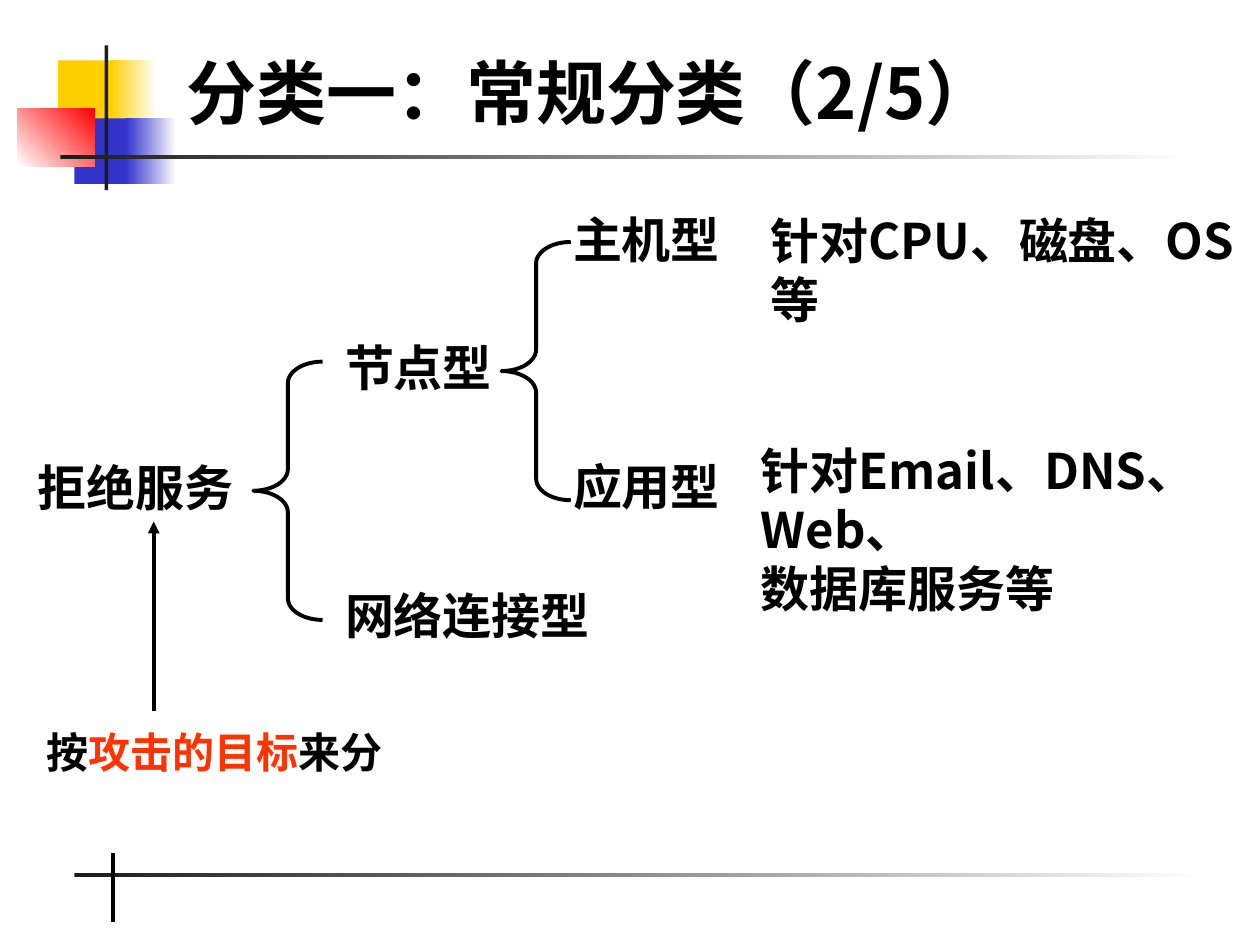
import pptx
import pptx.dml.color
import pptx.enum.dml
import pptx.enum.shapes
import pptx.enum.text
import pptx.oxml
import pptx.oxml.ns
import pptx.util

COLUMNS, ROWS = 100, 75
CELL = pptx.util.Inches(0.1)
TYPEFACE = "Noto Sans CJK SC"
BLACK, INK, WHITE = "000000", "1C1C1C", "FFFFFF"
YELLOW, BLUE, RED, ACCENT = "FFCF01", "3333CC", "FF0000", "FF3300"
LABEL_FRAME = {
    "word_wrap": False,
    "auto_size": pptx.enum.text.MSO_AUTO_SIZE.SHAPE_TO_FIT_TEXT,
}
NOTE_FRAME = {**LABEL_FRAME, "word_wrap": True}
TITLE_FRAME = {
    "word_wrap": True,
    "auto_size": pptx.enum.text.MSO_AUTO_SIZE.NONE,
    "vertical_anchor": pptx.enum.text.MSO_ANCHOR.MIDDLE,
}


def apply(target, values):
    """Set every attribute named in a dict of format values."""
    for name, value in values.items():
        setattr(target, name, value)


def cells(*counts):
    """Turn counts of grid cells into lengths."""
    return [round(count * CELL) for count in counts]


def inside(box, left, top, *size):
    """Shift a place so that it is measured from the corner of a box."""
    return (box[0] + left, box[1] + top, *size)


def hex_color(code):
    """Give the colour for a hex string."""
    return pptx.dml.color.RGBColor.from_string(code)


def write(frame, paragraphs, size, values):
    """Write paragraphs of (text, colour) runs into a text frame."""
    apply(frame, values)
    for index, runs in enumerate(paragraphs):
        paragraph = frame.add_paragraph() if index else frame.paragraphs[0]
        paragraph.alignment = pptx.enum.text.PP_ALIGN.LEFT
        for text, color in runs:
            run = paragraph.add_run()
            run.text = text
            apply(run.font, {"name": TYPEFACE, "size": pptx.util.Pt(size), "bold": True})
            run.font.color.rgb = hex_color(color)
            east_asian = pptx.oxml.ns.qn("a:ea")
            run.font._element.makeelement(east_asian)
            run.font._element.find(pptx.oxml.ns.qn("a:latin")).addnext(
                run.font._element.makeelement(east_asian, {"typeface": TYPEFACE})
            )


def add_label(slide, place, *lines, size=28, values=LABEL_FRAME):
    """Add a text box with one black paragraph for each line."""
    label = slide.shapes.add_textbox(*cells(*place))
    write(label.text_frame, [[(line, BLACK)] for line in lines], size, values)


def add_block(slide, place, start, end=None, angle=0):
    """Add a borderless rectangle, plain or fading between two colours."""
    block = slide.shapes.add_shape(pptx.enum.shapes.MSO_SHAPE.RECTANGLE, *cells(*place))
    block.shadow.inherit = False
    block.line.fill.background()
    if end is None:
        block.fill.solid()
        block.fill.fore_color.rgb = hex_color(start)
        return
    block.fill.gradient()
    block.fill.gradient_angle = angle
    for stop, color in zip(block.fill.gradient_stops, (start, end)):
        stop.color.rgb = hex_color(color)


def add_line(slide, start, end, arrow=False):
    """Add a straight black line, with an arrowhead at its end if asked."""
    line = slide.shapes.add_connector(
        pptx.enum.shapes.MSO_CONNECTOR.STRAIGHT, *cells(*start, *end)
    )
    line.line.width = pptx.util.Pt(2.25)
    line.line.color.rgb = hex_color(BLACK)
    properties = line._element.spPr
    properties.append(properties.makeelement(pptx.oxml.ns.qn("a:effectLst")))
    if arrow:
        outline = line.line._get_or_add_ln()
        outline.append(
            outline.makeelement(pptx.oxml.ns.qn("a:tailEnd"), {"type": "triangle"})
        )


def add_header(slide, box, heading):
    """Place the coloured blocks, the crossed rules and the title."""
    blocks = [
        ((3.2, 1.2, 4.8, 5.2), YELLOW),
        ((7.4, 1.2, 3.6, 5.2), YELLOW, WHITE),
        ((4.5, 5.8, 4.6, 5.2), BLUE),
        ((8.6, 5.8, 4, 5.2), BLUE, WHITE),
        ((0, 5, 6.1, 4.6), WHITE, RED, 45),
        ((6.9, 0, 0.3, 11.5), INK),
        ((3.4, 8.7, 90, 0.3), INK, WHITE),
    ]
    for place, *colors in blocks:
        add_block(slide, inside(box, *place), *colors)
    title = slide.shapes.title
    place = cells(*inside(box, 12.4, -0.7, 72.5, 8.7))
    apply(title, dict(zip(("left", "top", "width", "height"), place)))
    write(title.text_frame, [[(heading, BLACK)]], 40, TITLE_FRAME)


def add_footer(slide, box):
    """Place the crossed rules at the foot of the slide."""
    add_block(slide, inside(box, 0, 1.6, 90, 0.3), INK, WHITE)
    add_line(slide, inside(box, 3.1, 0), inside(box, 3.1, 5.5))


def add_branch(slide, box, indent, rise, children):
    """Place a brace that fills the box and the labels at its two tips."""
    brace = slide.shapes.add_shape(pptx.enum.shapes.MSO_SHAPE.LEFT_BRACE, *cells(*box))
    brace.shadow.inherit = False
    brace.fill.background()
    brace.line.width = pptx.util.Pt(2.25)
    brace.line.color.rgb = hex_color(BLACK)
    brace.adjustments[0] = 0.31
    for index, (text, width) in enumerate(children):
        place = inside(box, indent, index * 19.65 - rise, width, 5.7)
        add_label(slide, place, text)


def add_tree(slide, box):
    """Place the tree of attack types with the notes on its leaves."""
    add_label(slide, inside(box, 0, 19.7, 17.6, 5.7), "拒绝服务")
    add_branch(slide, inside(box, 18.1, 12.6, 5.5, 20.5), 6.3, 2.4,
               [("节点型", 13.7), ("网络连接型", 21.5)])
    add_branch(slide, inside(box, 37.8, 3.1, 5.5, 20.5), 4.7, 3.1,
               [("主机型", 13.7), ("应用型", 13.7)])
    add_label(slide, inside(box, 58.2, 0.1, 39.8, 5.7), "针对CPU、磁盘、OS等",
              values=NOTE_FRAME)
    add_label(slide, inside(box, 57.4, 18.4, 43.5, 10.4), "针对Email、DNS、Web、",
              "数据库服务等", values=NOTE_FRAME)


def add_criterion(slide, box):
    """Place the basis of the classification and its arrow to the root."""
    basis = slide.shapes.add_textbox(*cells(*box))
    runs = [("按", BLACK), ("攻击的目标", ACCENT), ("来分", BLACK)]
    write(basis.text_frame, [runs], 24, LABEL_FRAME)
    add_line(slide, inside(box, 9.5, -0.8), inside(box, 9.5, -15.8), arrow=True)


def main():
    """Build the slide and save it."""
    deck = pptx.Presentation()
    deck.slide_width, deck.slide_height = cells(COLUMNS, ROWS)
    slide = deck.slides.add_slide(deck.slide_layouts[5])
    add_header(slide, (1.4, 3.6), "分类一：常规分类（2/5）")
    add_footer(slide, (5.9, 67.7))
    add_tree(slide, (2, 16.1))
    add_criterion(slide, (2.7, 57.2, 28.8, 5))
    deck.save("out.pptx")


if __name__ == "__main__":
    main()
